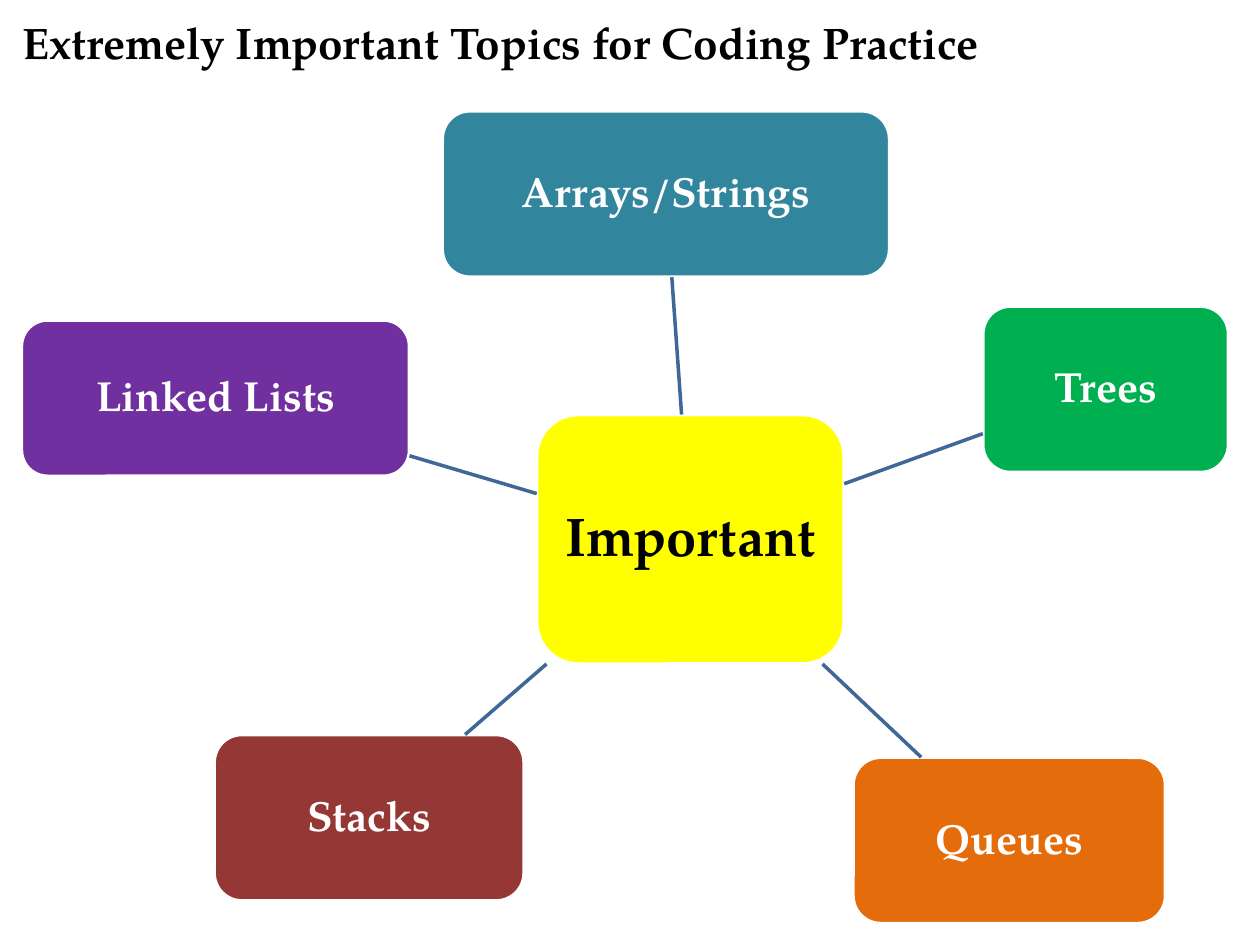
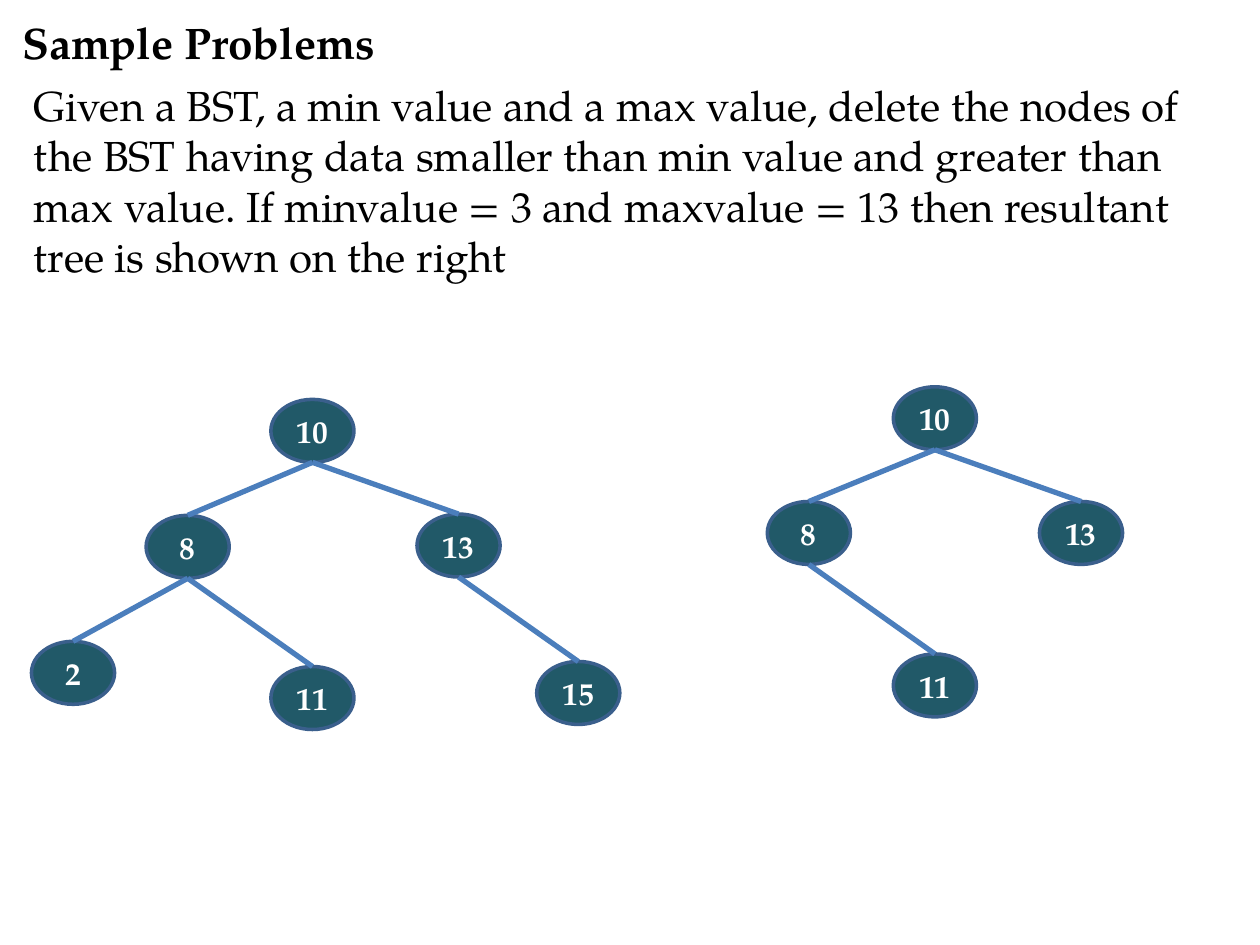
from pptx import Presentation
from pptx.dml.color import RGBColor
from pptx.enum.shapes import MSO_CONNECTOR, MSO_SHAPE
from pptx.enum.text import MSO_ANCHOR, PP_ALIGN
from pptx.oxml.ns import qn
from pptx.util import Inches, Pt
from lxml.etree import SubElement

FONT = "TeX Gyre Pagella"
BLACK, WHITE = "000000", "FFFFFF"
SPOKE, NODE_FILL, NODE_LINE, EDGE = "3F6797", "215968", "3A5F8C", "4B7EBC"
colour = RGBColor.from_string


def write(shape, text, size, hex_colour, bold=True, align=PP_ALIGN.CENTER, anchor=MSO_ANCHOR.MIDDLE):
    frame = shape.text_frame
    frame.word_wrap = True
    frame.vertical_anchor = anchor
    paragraph = frame.paragraphs[0]
    paragraph.alignment = align
    run = paragraph.add_run()
    run.text = text
    run.font.name = FONT
    run.font.size = Pt(size)
    run.font.bold = bold
    run.font.color.rgb = colour(hex_colour)
    return paragraph


def connect(slide, start, end, hex_colour, width):
    line = slide.shapes.add_connector(MSO_CONNECTOR.STRAIGHT, *map(Inches, (*start, *end)))
    line.line.color.rgb = colour(hex_colour)
    line.line.width = Pt(width)
    SubElement(line._element.spPr, qn("a:effectLst"))


prs = Presentation()
prs.slide_width, prs.slide_height = Inches(10), Inches(7.5)

slides = []
for heading in ("Extremely Important Topics for Coding Practice", "Sample Problems"):
    slide = prs.slides.add_slide(prs.slide_layouts[6])
    title = slide.shapes.add_textbox(Inches(0.08), Inches(0.08), Inches(9.67), Inches(0.5))
    write(title, heading, 25.2, BLACK, align=PP_ALIGN.LEFT)
    slides.append(slide)
topics_slide, problem_slide = slides

hub = ("Important", 4.26, 3.29, 2.44, 1.98, "FFFF00", BLACK, 31)
topics = [
    ("Arrays/Strings", 3.51, 0.88, 3.55, 1.32, "31859C", WHITE, 24),
    ("Trees", 7.8, 2.43, 1.95, 1.32, "00B050", WHITE, 24),
    ("Queues", 6.77, 6.01, 2.48, 1.32, "E46C0A", WHITE, 24),
    ("Stacks", 1.7, 5.83, 2.46, 1.32, "953735", WHITE, 24),
    ("Linked Lists", 0.17, 2.54, 3.08, 1.24, "7030A0", WHITE, 24),
]
hub_width, hub_height = hub[3:5]
hub_x, hub_y = hub[1] + hub_width / 2, hub[2] + hub_height / 2

for name, left, top, width, height, fill, ink, size in [hub] + topics:
    box = topics_slide.shapes.add_shape(
        MSO_SHAPE.ROUNDED_RECTANGLE, Inches(left), Inches(top), Inches(width), Inches(height))
    box.shadow.inherit = False
    box.fill.solid()
    box.fill.fore_color.rgb = colour(fill)
    box.line.color.rgb = colour(WHITE)
    box.line.width = Pt(2)
    write(box, name, size, ink).line_spacing = 0.9

for name, left, top, width, height, *style in topics:
    x, y = left + width / 2, top + height / 2
    dx, dy = x - hub_x, y - hub_y
    leave = min(hub_width / 2 / abs(dx), hub_height / 2 / abs(dy))
    arrive = min(width / 2 / abs(dx), height / 2 / abs(dy))
    connect(topics_slide, (hub_x + dx * leave, hub_y + dy * leave),
            (x - dx * arrive, y - dy * arrive), SPOKE, 2)

problem = problem_slide.shapes.add_textbox(Inches(0.17), Inches(0.58), Inches(9.75), Inches(6.83))
statement = write(
    problem,
    "Given a BST, a min value and a max value, delete the nodes of the BST having data smaller "
    "than min value and greater than max value. If minvalue = 3 and maxvalue = 13 then resultant "
    "tree is shown on the right",
    24, BLACK, bold=False, align=PP_ALIGN.LEFT, anchor=MSO_ANCHOR.TOP)
statement.space_before = Pt(4.8)

NODE_WIDTH, NODE_HEIGHT = 0.66, 0.5
given_tree = (
    {10: (2.48, 3.42), 8: (1.49, 4.34), 2: (0.58, 5.34),
     13: (3.64, 4.33), 11: (2.48, 5.54), 15: (4.59, 5.5)},
    [(10, 13), (13, 15), (8, 11), (8, 2), (10, 8)])
trimmed_tree = (
    {10: (7.42, 3.32), 8: (6.42, 4.23), 13: (8.58, 4.23), 11: (7.42, 5.44)},
    [(10, 13), (8, 11), (10, 8)])

for nodes, edges in (given_tree, trimmed_tree):
    for value, (x, y) in nodes.items():
        node = problem_slide.shapes.add_shape(
            MSO_SHAPE.OVAL, Inches(x - NODE_WIDTH / 2), Inches(y - NODE_HEIGHT / 2),
            Inches(NODE_WIDTH), Inches(NODE_HEIGHT))
        node.shadow.inherit = False
        node.fill.solid()
        node.fill.fore_color.rgb = colour(NODE_FILL)
        node.line.color.rgb = colour(NODE_LINE)
        node.line.width = Pt(2)
        node.text_frame.margin_left = node.text_frame.margin_right = 0
        write(node, str(value), 18, WHITE)
    for parent, child in edges:
        parent_x, parent_y = nodes[parent]
        child_x, child_y = nodes[child]
        connect(problem_slide, (parent_x, parent_y + NODE_HEIGHT / 2),
                (child_x, child_y - NODE_HEIGHT / 2), EDGE, 3)

prs.save("out.pptx")
